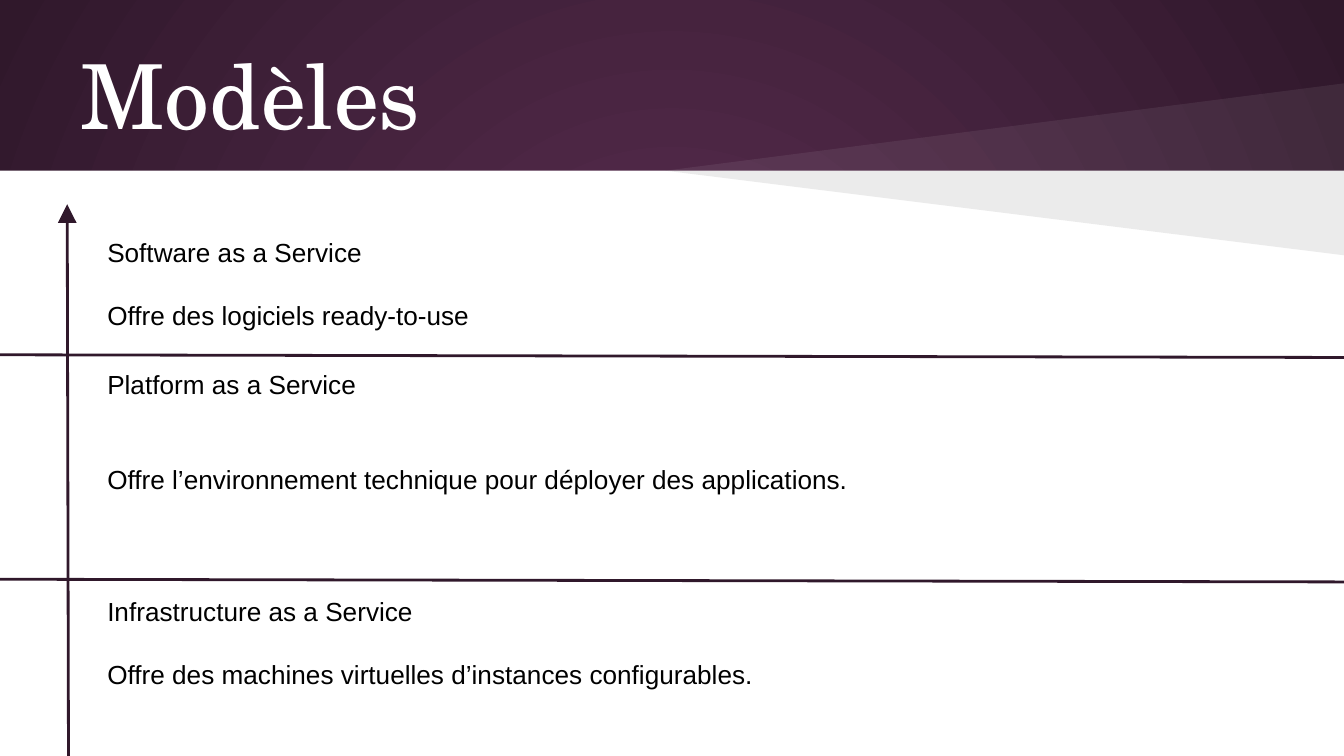
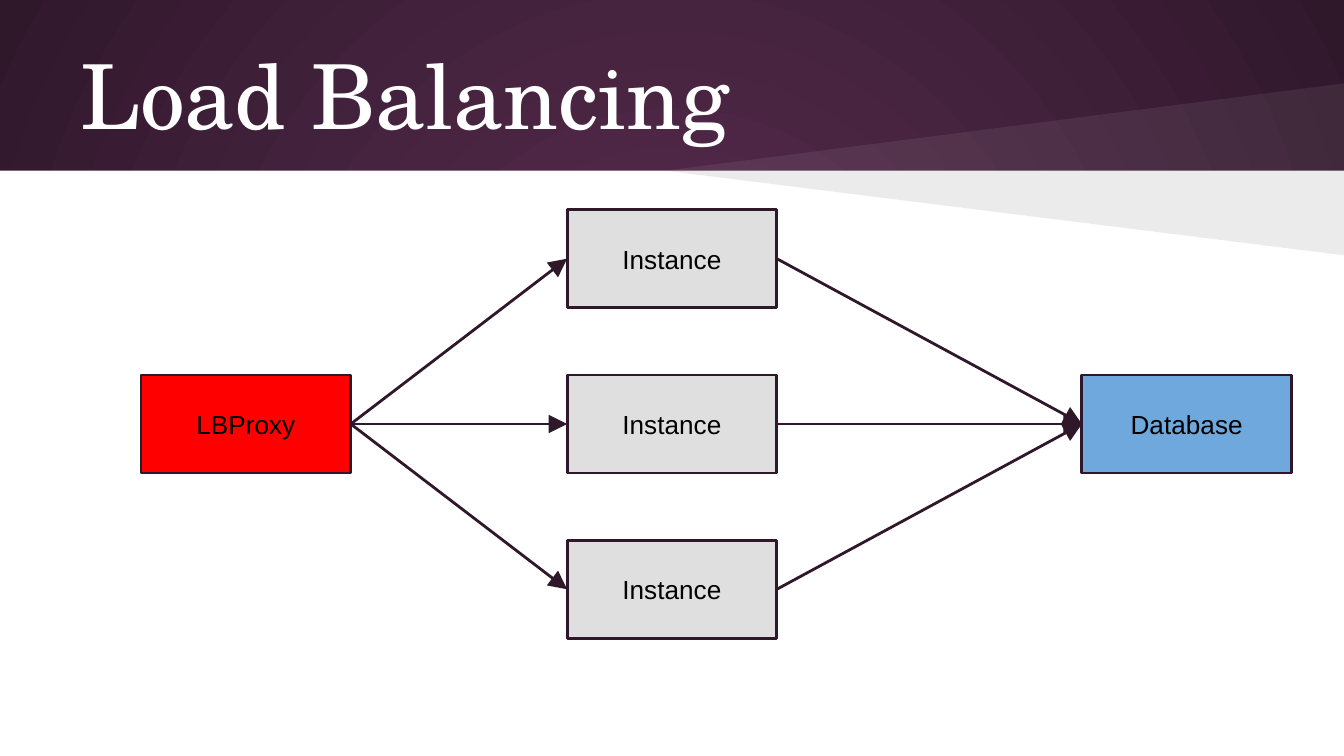
from lxml.etree import SubElement
from pptx import Presentation
from pptx.dml.color import RGBColor
from pptx.enum.shapes import MSO_CONNECTOR as Connector, MSO_SHAPE as Shape
from pptx.enum.text import MSO_ANCHOR as Anchor, PP_ALIGN as Align
from pptx.oxml.ns import qn
from pptx.util import Inches, Pt

WIDTH = 10
HEIGHT = WIDTH * 9 / 16
BAND_HEIGHT = 1.27
PLUM, DARK = "592D50", "30182B"
WHITE, BLACK = "FFFFFF", "000000"
RED, GREY, BLUE = "FF0000", "DFDFDF", "6FA8DC"
TITLE_FONT, BODY_FONT = "TeX Gyre Schola", "Arial"
LEFT_SITE, RIGHT_SITE = 1, 3


def color(value):
    return RGBColor.from_string(value)


def paint(shape, fill, line=None, alpha=None):
    shape.shadow.inherit = False
    shape.fill.solid()
    shape.fill.fore_color.rgb = color(fill)
    if alpha is not None:
        tint = shape.fill._xPr.find(".//" + qn("a:srgbClr"))
        SubElement(tint, qn("a:alpha")).set("val", str(alpha * 1000))
    if line:
        shape.line.color.rgb = color(line)
        shape.line.width = Pt(1.5)
    else:
        shape.line.fill.background()


def write(shape, lines, size=14, font=BODY_FONT, ink=BLACK, anchor=Anchor.TOP,
          align=Align.LEFT, gap=0):
    """Fill a shape with paragraphs; gap is the space before all but the first."""
    frame = shape.text_frame
    frame.word_wrap = True
    frame.vertical_anchor = anchor
    frame.margin_left = frame.margin_right = Inches(0.1)
    frame.margin_top = frame.margin_bottom = Inches(0.1)
    for index, line in enumerate(lines):
        para = frame.add_paragraph() if index else frame.paragraphs[0]
        para.text = line
        para.alignment = align
        para.space_before = Pt(gap if index else 0)
        para.font.name = font
        para.font.size = Pt(size)
        para.font.color.rgb = color(ink)


def add_text(page, box, lines, **style):
    write(page.shapes.add_textbox(*map(Inches, box)), lines, **style)


def add_line(page, start=(0, 0), end=(0, 0), arrow=False):
    line = page.shapes.add_connector(
        Connector.STRAIGHT, *map(Inches, (*start, *end)))
    line.line.color.rgb = color(DARK)
    line.line.width = Pt(1.5)
    if arrow:
        head = SubElement(line.line._get_or_add_ln(), qn("a:tailEnd"))
        for key, value in (("type", "triangle"), ("w", "lg"), ("len", "lg")):
            head.set(key, value)
    SubElement(line._element.spPr, qn("a:effectLst"))
    return line


def set_background(deck):
    """Give every page a radial gradient, lightest in the centre."""
    master = deck.slide_master
    fill = master.background.fill
    fill.gradient()
    for stop, value in zip(fill.gradient_stops, (PLUM, DARK)):
        stop.color.rgb = color(value)
    gradient = master.element.find(".//" + qn("a:gradFill"))
    gradient.remove(gradient.find(qn("a:lin")))
    circle = SubElement(gradient, qn("a:path"))
    circle.set("path", "circle")
    center = SubElement(circle, qn("a:fillToRect"))
    for side in "ltrb":
        center.set(side, "50000")


def add_wedge(page, edge_y, fill, alpha):
    """Draw a triangle from the band's lower edge to edge_y at the right."""
    tip, base = Inches(4.95), Inches(BAND_HEIGHT)
    right = Inches(WIDTH)
    builder = page.shapes.build_freeform(right, base)
    builder.add_line_segments([(tip, base), (right, Inches(edge_y))])
    paint(builder.convert_to_shape(), fill, alpha=alpha)


def add_page(deck, title):
    page = deck.slides.add_slide(deck.slide_layouts[6])
    panel = page.shapes.add_shape(Shape.RECTANGLE, *map(
        Inches, (0, BAND_HEIGHT, WIDTH, HEIGHT - BAND_HEIGHT)))
    paint(panel, WHITE)
    add_wedge(page, 0.62, WHITE, 7)
    add_wedge(page, 1.9, BLACK, 8)
    add_text(page, (0.5, 0.23, 9, 0.94), [title], size=48, font=TITLE_FONT,
             ink=WHITE, anchor=Anchor.MIDDLE)
    return page


def build_models(page):
    add_line(page, (0.51, 5.78), (0.5, 1.52), arrow=True)
    levels = [
        (1.66, 0.94, 17, "Software as a Service",
         "Offre des logiciels ready-to-use"),
        (2.64, 1.67, 34, "Platform as a Service",
         "Offre l’environnement technique pour déployer des applications."),
        (4.33, 1.3, 17, "Infrastructure as a Service",
         "Offre des machines virtuelles d’instances configurables."),
    ]
    for top, height, gap, *lines in levels:
        add_text(page, (0.7, top, 9.27, height), lines, gap=gap)
    for left, y in ((-0.02, 2.64), (-0.04, 4.31)):
        add_line(page, (left, y), (left + 10.04, y + 0.02))


def add_node(page, left, top, label, fill):
    node = page.shapes.add_shape(
        Shape.RECTANGLE, *map(Inches, (left, top, 1.56, 0.73)))
    paint(node, fill, DARK)
    write(node, [label], anchor=Anchor.MIDDLE, align=Align.CENTER)
    return node


def link(page, source, target):
    arrow = add_line(page, arrow=True)
    arrow.begin_connect(source, RIGHT_SITE)
    arrow.end_connect(target, LEFT_SITE)


def build_balancing(page, middle=2.79, pitch=1.23):
    proxy = add_node(page, 1.05, middle, "LBProxy", RED)
    database = add_node(page, 8.05, middle, "Database", BLUE)
    instances = [add_node(page, 4.22, middle + step * pitch, "Instance", GREY)
                 for step in (-1, 0, 1)]
    for instance in instances:
        link(page, proxy, instance)
        link(page, instance, database)


def main():
    deck = Presentation()
    deck.slide_width, deck.slide_height = Inches(WIDTH), Inches(HEIGHT)
    set_background(deck)
    build_models(add_page(deck, "Modèles"))
    build_balancing(add_page(deck, "Load Balancing"))
    deck.save("out.pptx")


if __name__ == "__main__":
    main()
